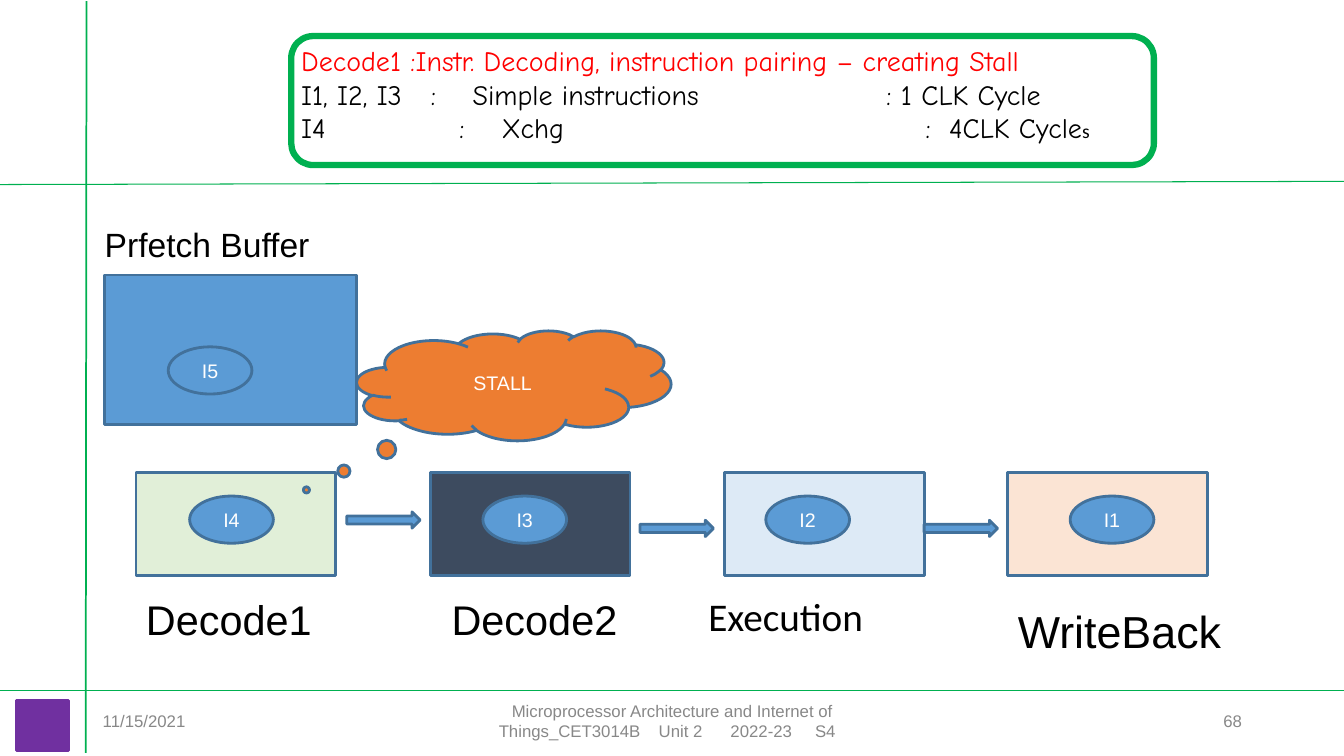
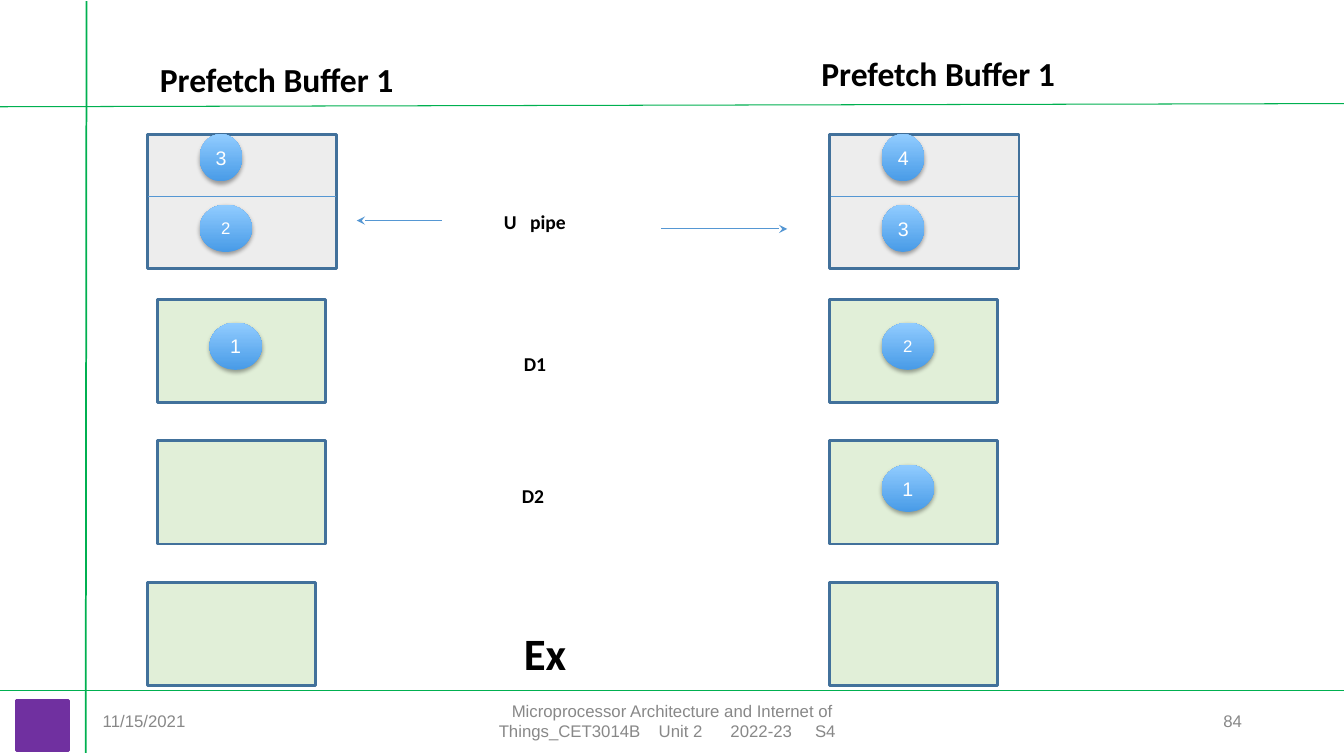
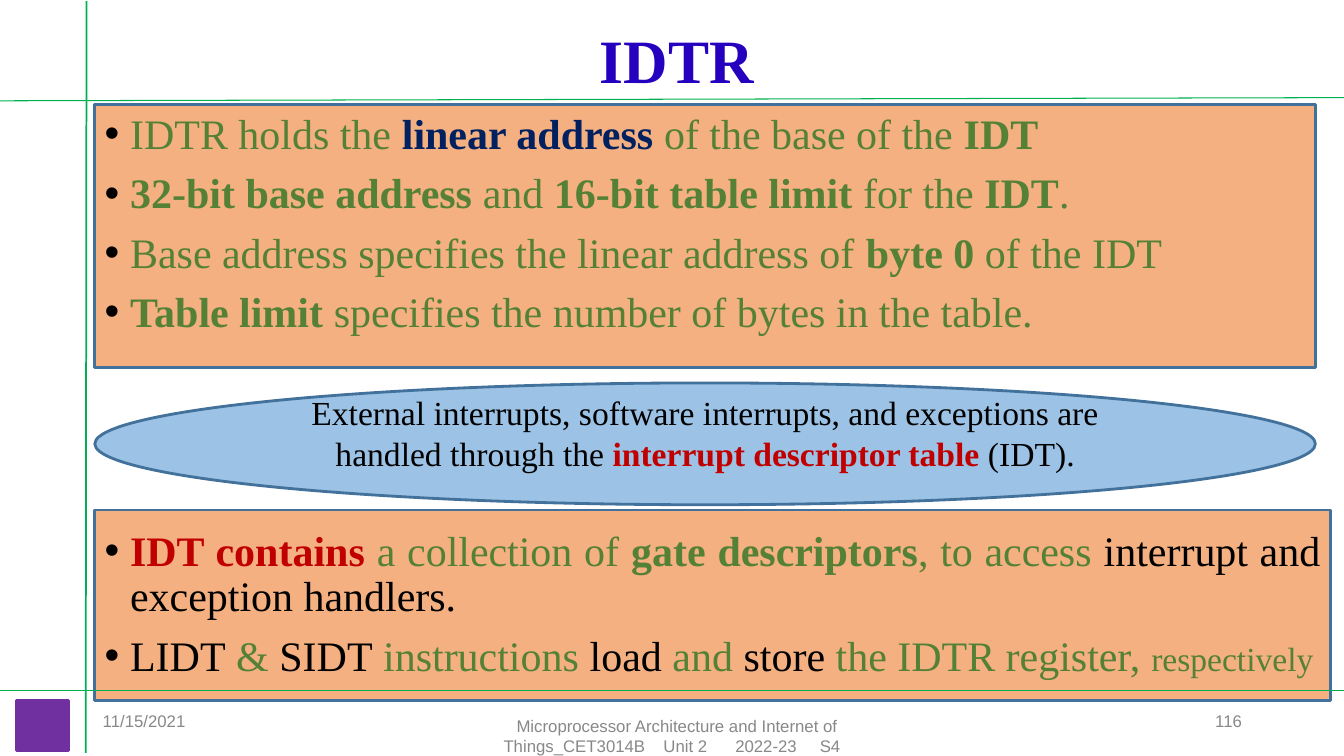
from pptx import Presentation
from pptx.dml.color import RGBColor
from pptx.enum import shapes, text
from pptx.oxml import parse_xml
from pptx.oxml.ns import nsdecls
from pptx.util import Cm, Pt

BLACK = RGBColor(0, 0, 0)
WHITE = RGBColor(0xFF, 0xFF, 0xFF)
RED = RGBColor(0xFF, 0, 0)
GREEN = RGBColor(0, 0xB0, 0x50)
PURPLE = RGBColor(0x70, 0x30, 0xA0)
GREY = RGBColor(0x88, 0x88, 0x88)
EDGE = RGBColor(0x42, 0x71, 0x9B)
BLUE = RGBColor(0x5B, 0x9B, 0xD5)
WIRE = RGBColor(0x55, 0x97, 0xD3)
DEEP = RGBColor(0x48, 0x9B, 0xE7)
LIGHT = RGBColor(0x91, 0xCC, 0xFF)
MINT = RGBColor(0xE1, 0xEF, 0xD8)
SLATE = RGBColor(0x3D, 0x4B, 0x5F)
PALE = RGBColor(0xDD, 0xEA, 0xF6)
PEACH = RGBColor(0xFB, 0xE4, 0xD4)
SILVER = RGBColor(0xED, 0xED, 0xED)
ORANGE = RGBColor(0xED, 0x7D, 0x31)
SAND = RGBColor(0xF4, 0xB0, 0x81)
SKY = RGBColor(0x9C, 0xC2, 0xE5)
OLIVE = RGBColor(0x54, 0x81, 0x35)
NAVY = RGBColor(0, 0x20, 0x60)
BRICK = RGBColor(0xC0, 0, 0)
INDIGO = RGBColor(0x25, 0x01, 0xBF)

SANS, BODY, SERIF, COMIC = "Arial", "Calibri", "Times New Roman", "Comic Neue"
KIND = shapes.MSO_SHAPE
LEFT, MID, RIGHT, FULL = (text.PP_ALIGN.LEFT, text.PP_ALIGN.CENTER,
                          text.PP_ALIGN.RIGHT, text.PP_ALIGN.JUSTIFY)
TOP, HALF = text.MSO_ANCHOR.TOP, text.MSO_ANCHOR.MIDDLE


def node(tag, attrs="", inner=""):
    return parse_xml(f"<a:{tag} {nsdecls('a')} {attrs}>{inner}</a:{tag}>")


def style(font, size=None, color=None, face=None, bold=None):
    if size:
        font.size = Pt(size)
    if color is not None:
        font.color.rgb = color
    if face:
        font.name = face
    if bold is not None:
        font.bold = bold


class Deck:
    def __init__(self):
        self.file = Presentation()
        self.file.slide_width = Cm(33.87)
        self.file.slide_height = Cm(19.05)
        self.page = None

    def start(self):
        self.page = self.file.slides.add_slide(self.file.slide_layouts[6]).shapes

    def put(self, shape, paras, anchor=TOP, foot=0.13, **look):
        """Set a shape's text; a paragraph is a string or a dict of runs and style."""
        frame = shape.text_frame
        frame.word_wrap = True
        frame.vertical_anchor = anchor
        frame.margin_bottom = Cm(foot)
        for i, para in enumerate(paras):
            if isinstance(para, str):
                para = dict(runs=[para])
            spot = frame.add_paragraph() if i else frame.paragraphs[0]
            self.para(spot, first=not i, **{**look, **para})

    def para(self, spot, runs, first, align=LEFT, lead=None, gap=0,
             bullet=False, tabs=(), **font):
        props = spot._p.get_or_add_pPr()
        if bullet:
            props.set("marL", str(Cm(0.64)))
            props.set("indent", str(-Cm(0.64)))
            props.append(node("buClr", "", '<a:srgbClr val="000000"/>'))
            props.append(node("buFont", 'typeface="Arial"'))
            props.append(node("buChar", 'char="•"'))
        if tabs:
            stops = "".join(f'<a:tab pos="{Cm(t)}" algn="l"/>' for t in tabs)
            props.append(node("tabLst", "", stops))
        spot.alignment = align
        if lead:
            spot.line_spacing = lead
        if gap and not first:
            spot.space_before = Pt(gap)
        style(spot.font, **font)
        for item in runs:
            words, own = (item, {}) if isinstance(item, str) else item
            run = spot.add_run()
            run.text = words
            style(run.font, **own)

    def label(self, x, y, w, h, *paras, **look):
        look = {"size": 14, "color": BLACK, "face": BODY, **look}
        self.put(self.page.add_textbox(Cm(x), Cm(y), Cm(w), Cm(h)), paras, **look)

    def shape(self, kind, x, y, w, h, fill=BLUE, edge=EDGE, width=2, adj=()):
        item = self.page.add_shape(kind, Cm(x), Cm(y), Cm(w), Cm(h))
        item.shadow.inherit = False
        for i, value in enumerate(adj):
            item.adjustments[i] = value
        if fill is None:
            item.fill.background()
        else:
            item.fill.solid()
            item.fill.fore_color.rgb = fill
        item.line.color.rgb = edge
        item.line.width = Pt(width)
        return item

    def box(self, x, y, w, h, fill):
        return self.shape(KIND.RECTANGLE, x, y, w, h, fill)

    def tag(self, item, words, size=14):
        self.put(item, [words], HALF, align=MID, size=size, color=WHITE, face=SANS)

    def oval(self, x, y, words):
        self.tag(self.shape(KIND.OVAL, x, y, 2.11, 1.19), words)

    def ball(self, x, y, w, words, size=14):
        """Glossy numbered disc with a soft shadow."""
        item = self.shape(KIND.OVAL, x, y, w, 1.19)
        item.line.fill.background()
        item.fill.gradient()
        item.fill.gradient_angle = 90
        for stop, color in zip(item.fill.gradient_stops, (DEEP, LIGHT)):
            stop.color.rgb = color
        shade = node("outerShdw",
                     f'blurRad="{Pt(3.1)}" dist="{Pt(1.8)}" dir="5400000" rotWithShape="0"',
                     '<a:srgbClr val="000000"><a:alpha val="35000"/></a:srgbClr>')
        item._element.spPr.find(shade.tag.replace("outerShdw", "effectLst")).append(shade)
        self.tag(item, words, size)

    def line(self, x1, y1, x2, y2, color=GREEN, width=1.25, arrow=False):
        item = self.page.add_connector(shapes.MSO_CONNECTOR.STRAIGHT,
                                       Cm(x1), Cm(y1), Cm(x2), Cm(y2))
        item.line.color.rgb = color
        item.line.width = Pt(width)
        if arrow:
            item.line._get_or_add_ln().append(node("tailEnd", 'type="stealth"'))
        item._element.spPr.append(node("effectLst"))

    def frame(self, number, rule, x=11.23, y=17.65):
        """Rules, corner square and footer; x and y place the course name."""
        look = dict(anchor=HALF, size=12, color=GREY, face=SANS)
        self.label(2.34, 17.65, 7.62, 1.02, "11/15/2021", **look)
        self.label(23.93, 17.65, 7.62, 1.02, number, align=RIGHT, **look)
        self.label(x, y, 11.43, 1.02,
                   dict(runs=["Microprocessor Architecture and Internet of"], align=MID),
                   dict(runs=["\tThings_CET3014B\tUnit 2\t2022-23\tS4"],
                        tabs=(1.09, 5.12, 6.93, 9.06)), **look)
        self.line(0, rule, 33.87, rule - 0.08, width=0.75)
        self.shape(KIND.RECTANGLE, 0.41, 17.65, 1.32, 1.27, PURPLE, PURPLE)
        self.line(2.18, 0.03, 2.16, 18.97)
        self.line(0, 17.4, 33.87, 17.4)


def stall(deck):
    deck.start()
    deck.label(2.39, 4.95, 8.46, 2.39, "Prfetch Buffer", anchor=HALF, size=24, face=SANS)
    stages = ((3.43, MINT, 4.78, "I4"), (10.85, SLATE, 12.17, "I3"),
              (18.26, PALE, 19.3, "I2"), (25.4, PEACH, 26.97, "I1"))
    for x, fill, spot, words in stages:
        deck.box(x, 11.91, 5.03, 2.6, fill)
        deck.oval(spot, 12.5, words)
    for x, y in ((8.74, 12.9), (16.13, 13.11), (23.29, 13.11)):
        deck.shape(KIND.RIGHT_ARROW, x, y, 1.85, 0.41)
    deck.box(2.64, 6.93, 6.35, 3.76, BLUE)
    deck.oval(4.24, 8.74, "I5")
    for x, words in ((3.43, "Decode1"), (11.13, "Decode2")):
        deck.label(x, 15.09, 5.28, 1.4, words, size=29.6, face=SANS, lead=0.8)
    deck.label(25.4, 15.09, 6.1, 1.98, "WriteBack", size=32, face=SANS)
    deck.label(17.6, 14.81, 4.47, 1.45, "Execution", size=28)
    deck.label(7.34, 0.97, 25.15, 2.82,
               dict(runs=["Decode1 :Instr. Decoding, instruction pairing – creating Stall"],
                    color=RED),
               dict(runs=["I1, I2, I3\t:\tSimple instructions\t: 1 CLK Cycle"],
                    tabs=(3.27, 4.32, 14.75)),
               dict(runs=["I4\t:\tXchg\t:\t4CLK Cycle", ("s", dict(size=14, face=BODY))],
                    tabs=(3.99, 5.05, 15.74, 16.33)),
               size=20, face=COMIC)
    cloud = deck.shape(KIND.CLOUD_CALLOUT, 8.99, 8.33, 7.92, 2.77, ORANGE,
                       adj=(-0.66, 0.95))
    deck.tag(cloud, "STALL")
    deck.frame("68", 4.65)
    deck.shape(KIND.ROUNDED_RECTANGLE, 7.34, 0.91, 21.74, 3.25, None, GREEN, 4.5, (0.17,))


def pipe(deck):
    deck.start()
    sides = ((3.71, (3.96, 3.96, 3.71)), (20.9, (20.9, 20.9, 20.9)))
    for x, steps in sides:
        deck.box(x, 3.38, 4.78, 3.38, SILVER)
        deck.line(x + 0.03, 4.95, x + 4.75, 4.95, WIRE, 0.75)
        for i, left in enumerate(steps):
            deck.box(left, 7.54 + 3.57 * i, 4.24, 2.6, MINT)
    balls = ((5.03, 3.38, 1.07, "3"), (5.03, 5.16, 1.32, "2", 12),
             (5.28, 8.13, 1.32, "1"), (22.22, 3.38, 1.07, "4"),
             (22.22, 5.16, 1.07, "3"), (22.22, 8.13, 1.32, "2", 12),
             (22.22, 11.71, 1.32, "1"))
    for ball in balls:
        deck.ball(*ball)
    for x, y in ((3.78, 1.37), (20.45, 1.22)):
        deck.label(x, y, 6.6, 1.27, "Prefetch Buffer 1", size=24, bold=True)
    deck.label(12.45, 5.16, 2.54, 1.02, dict(runs=["U\tpipe"], tabs=(0.66,)), bold=True)
    deck.label(12.95, 8.74, 1.3, 1.02, "D1", bold=True)
    deck.label(12.9, 12.07, 1.3, 1.02, "D2", bold=True)
    deck.label(12.95, 15.65, 1.75, 1.63, "Ex", size=32, bold=True)
    deck.line(11.13, 5.56, 8.99, 5.56, WIRE, 0.75, True)
    deck.line(16.66, 5.77, 19.84, 5.77, WIRE, 0.75, True)
    deck.frame("84", 2.69)


def table(deck):
    deck.start()
    bold, black = dict(bold=True), dict(color=BLACK)
    key = dict(bold=True, color=BRICK)
    deck.label(10.21, 0.79, 13.69, 1.63, "IDTR", anchor=HALF, align=MID, lead=0.9,
               size=44, color=INDIGO, face=SERIF, bold=True)
    points = dict(anchor=HALF, align=FULL, lead=0.9, gap=10, bullet=True,
                  size=30, color=OLIVE, face=SERIF)
    deck.put(deck.box(2.39, 2.64, 30.76, 6.63, SAND), [
        dict(runs=["IDTR holds the ", ("linear address ", dict(bold=True, color=NAVY)),
                   "of the base of the ", ("IDT", bold)]),
        dict(runs=[("32-bit base address ", bold), "and ",
                   ("16-bit table limit ", bold), "for the ", ("IDT", bold), "."]),
        dict(runs=["Base address specifies the linear address of ", ("byte 0", bold),
                   " of the IDT"]),
        dict(runs=[("Table limit ", bold), "specifies the number of bytes in the table."]),
    ], foot=0.7, **points)
    deck.put(deck.shape(KIND.OVAL, 2.39, 9.65, 30.76, 3.07, SKY), [
        dict(runs=["External interrupts, software interrupts, and exceptions are "
                   "handled through the ", ("interrupt descriptor table ", key), "(IDT)."]),
    ], HALF, 0.7, align=MID, size=24, color=BLACK, face=SERIF)
    deck.put(deck.box(2.39, 12.85, 31.14, 4.8, SAND), [
        dict(runs=[("IDT contains ", key), "a collection of ", ("gate descriptors", bold),
                   ", to access ", ("interrupt and exception handlers.", black)]),
        dict(runs=[("LIDT", black), " & ", ("SIDT", black), " instructions ",
                   ("load", black), " and ", ("store", black), " the IDTR register, ",
                   ("respectively", dict(size=24))]),
    ], **points)
    deck.frame("116", 2.54, 11.35, 18.03)


def main():
    deck = Deck()
    stall(deck)
    pipe(deck)
    table(deck)
    deck.file.save("out.pptx")


if __name__ == "__main__":
    main()
